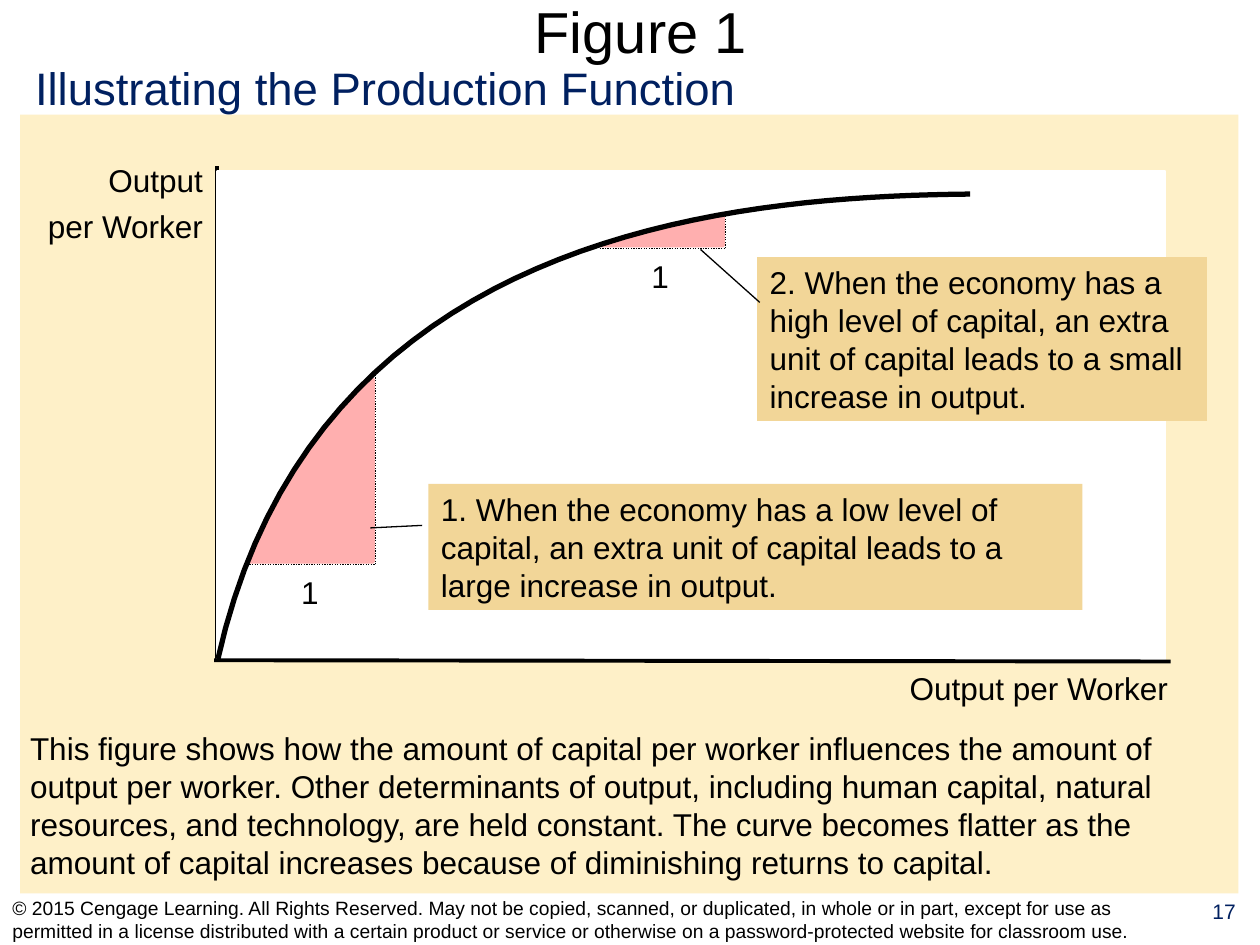
from dataclasses import dataclass

from lxml import etree
from pptx import Presentation
from pptx import util as u
from pptx.dml.color import RGBColor
from pptx.enum import dml, shapes, text
from pptx.oxml.ns import qn

COLS, ROWS = 100, 75  # grid cells across and down the slide
ALIGN = text.PP_ALIGN
ANCHOR = text.MSO_ANCHOR


@dataclass(frozen=True)
class Theme:
    font: str = "Arial"
    ink: str = "000000"
    navy: str = "002060"
    cream: str = "FEF0C8"
    paper: str = "FFFFFF"
    note: str = "F2D698"
    pink: str = "FFAFAF"
    title: int = 33
    head: int = 26
    body: int = 18
    page: int = 12
    legal: int = 11


def bend(a, b, c, d, steps=40):
    """Points along a cubic curve, without its first point."""
    out = []
    for i in range(1, steps + 1):
        t = i / steps
        mix = ((1 - t) ** 3, 3 * t * (1 - t) ** 2, 3 * t * t * (1 - t), t ** 3)
        out.append(tuple(sum(m * p[k] for m, p in zip(mix, (a, b, c, d)))
                         for k in (0, 1)))
    return out


class Board:
    def __init__(self, deck, theme):
        self.theme = theme
        self.slide = deck.slides.add_slide(deck.slide_layouts[6])
        self.items = self.slide.shapes
        self.col = deck.slide_width / COLS
        self.row = deck.slide_height / ROWS

    def spot(self, x, y):
        return round(x * self.col), round(y * self.row)

    def paint(self, item, fill=None, line=None, width=2):
        item.shadow.inherit = False
        if fill:
            item.fill.solid()
            item.fill.fore_color.rgb = RGBColor.from_string(fill)
        else:
            item.fill.background()
        if line:
            item.line.color.rgb = RGBColor.from_string(line)
            item.line.width = u.Pt(width)
        else:
            item.line.fill.background()
        return item

    def shape(self, x, y, w, h, fill, line=None, kind=shapes.MSO_SHAPE.RECTANGLE):
        item = self.items.add_shape(kind, *self.spot(x, y), *self.spot(w, h))
        return self.paint(item, fill, line)

    def letter(self, item, words, size, color=None, align=ALIGN.LEFT,
               anchor=ANCHOR.TOP, wrap=True, inset=True):
        frame = item.text_frame
        frame.text = words
        frame.word_wrap = wrap
        frame.vertical_anchor = anchor
        frame.margin_left = frame.margin_right = u.Inches(0.1 if inset else 0)
        frame.margin_top = frame.margin_bottom = u.Inches(0.05 if inset else 0)
        for i, para in enumerate(frame.paragraphs):
            para.alignment = align
            para.space_before = u.Pt(4.5 if i else 0)
            for run in para.runs:
                run.font.name = self.theme.font
                run.font.size = u.Pt(size)
                run.font.color.rgb = RGBColor.from_string(color or self.theme.ink)

    def label(self, x, y, w, h, words, size, **style):
        item = self.items.add_textbox(*self.spot(x, y), *self.spot(w, h))
        self.letter(item, words, size, **style)

    def note(self, x, y, w, h, words):
        self.letter(self.shape(x, y, w, h, self.theme.note), words, self.theme.body)

    def line(self, start, end, width=0.75, dots=False):
        item = self.items.add_connector(shapes.MSO_CONNECTOR.STRAIGHT,
                                        *self.spot(*start), *self.spot(*end))
        item.line.color.rgb = RGBColor.from_string(self.theme.ink)
        item.line.width = u.Pt(width)
        if dots:
            item.line.dash_style = dml.MSO_LINE.ROUND_DOT
        etree.SubElement(item._element.spPr, qn("a:effectLst"))

    def outline(self, points, close=False, **style):
        first, *rest = [self.spot(*p) for p in points]
        pen = self.items.build_freeform(*first)
        pen.add_line_segments(rest, close=close)
        self.paint(pen.convert_to_shape(), **style)

    def step(self, left, corner, top):
        """Dotted run and rise, with the unit label under the run."""
        x, y = corner
        self.line((left, y), corner, dots=True)
        self.line(corner, (x, top), dots=True)
        self.label((left + x) / 2 - 1.9, y + 0.2, 3.4, 4, "1", self.theme.body,
                   align=ALIGN.CENTER, wrap=False)


def main():
    deck = Presentation()
    deck.slide_width, deck.slide_height = u.Inches(10), u.Inches(7.5)
    look = Theme()
    board = Board(deck, look)

    # Background panel, headings and footer
    board.shape(1.6, 9.1, 96.7, 61.8, look.cream)
    board.label(3.5, 0, 94.7, 4.9, "Figure 1", look.title, align=ALIGN.CENTER,
                anchor=ANCHOR.MIDDLE, inset=False)
    board.label(94.3, 70.8, 5.7, 4.1, "17", look.page, color=look.navy,
                align=ALIGN.CENTER)
    board.label(0, 71, 94.2, 4,
                "© 2015 Cengage Learning. All Rights Reserved. May not be copied, "
                "scanned, or duplicated, in whole or in part, except for use as "
                "permitted in a license distributed with a certain product or "
                "service or otherwise on a password-protected website for "
                "classroom use.", look.legal, anchor=ANCHOR.MIDDLE)
    board.label(1.8, 4.3, 57.7, 5.4, "Illustrating the Production Function",
                look.head, color=look.navy, wrap=False)

    # Plot area and axes
    board.line((17.2, 13.2), (17.2, 52.3), width=2.25)
    board.label(2.8, 12.3, 14.3, 7.7, "Output\nper Worker", look.body,
                align=ALIGN.RIGHT, wrap=False)
    board.shape(17.3, 13.6, 75.1, 38.7, look.paper, look.paper)
    board.line((17, 52.4), (92.9, 52.5), width=2.25)
    board.label(71.2, 52.6, 22.5, 4, "Output per Worker", look.body,
                align=ALIGN.CENTER, wrap=False)

    # Explanation
    board.label(1.4, 57.4, 97.2, 13,
                "This figure shows how the amount of capital per worker influences "
                "the amount of output per worker. Other determinants of output, "
                "including human capital, natural resources, and technology, are "
                "held constant. The curve becomes flatter as the amount of capital "
                "increases because of diminishing returns to capital.", look.body)

    # Large step at low capital
    left, base, peak = (19.7, 44.6), (29.6, 44.6), (29.6, 30.1)
    arc = bend(peak, (27.2, 32.4), (25.1, 34.8), (23.3, 37.5))
    board.outline([left, base, peak, *arc], close=True,
                  fill=look.pink, line=look.pink)
    board.step(19.8, (29.8, 44.8), 29.3)

    # Small step at high capital
    wedge = board.shape(47.7, 17.2, 9.7, 2.3, look.pink, look.pink,
                        shapes.MSO_SHAPE.ISOSCELES_TRIANGLE)
    wedge.adjustments[0] = 1
    board.step(47.6, (57.6, 19.7), 17.1)

    # Callouts
    board.note(34, 38.4, 51.9, 10,
               "1. When the economy has a low level of capital, an extra unit of "
               "capital leads to a large increase in output.")
    board.line((29.4, 41.9), (33.5, 41.7))
    board.note(60.1, 20.4, 35.7, 13,
               "2. When the economy has a high level of capital, an extra unit of "
               "capital leads to a small increase in output.")
    board.line((55.6, 19.8), (60.3, 24))

    # Production function
    origin = (17.3, 52.3)
    board.outline([origin, *bend(origin, (24.8, 18.7), (57.3, 15.6), (77, 15.4))],
                  line=look.ink, width=3)

    deck.save("out.pptx")


if __name__ == "__main__":
    main()
